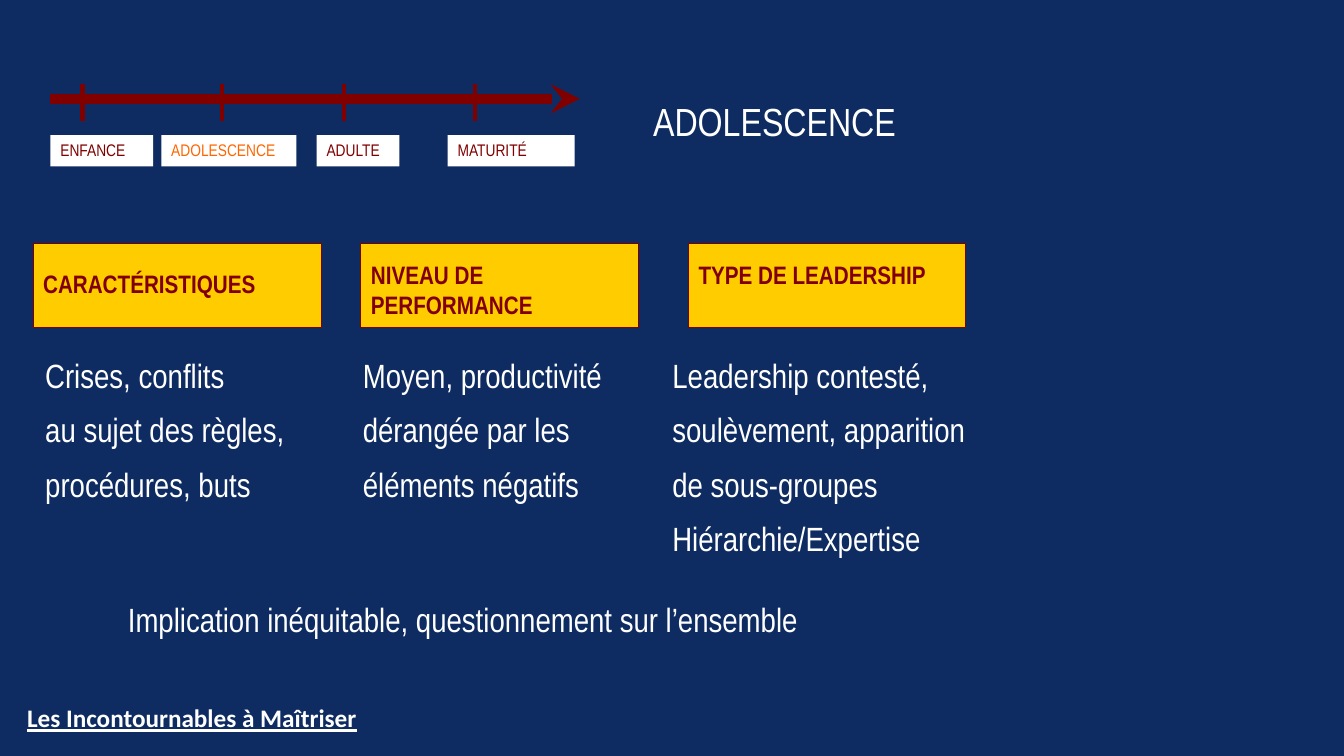
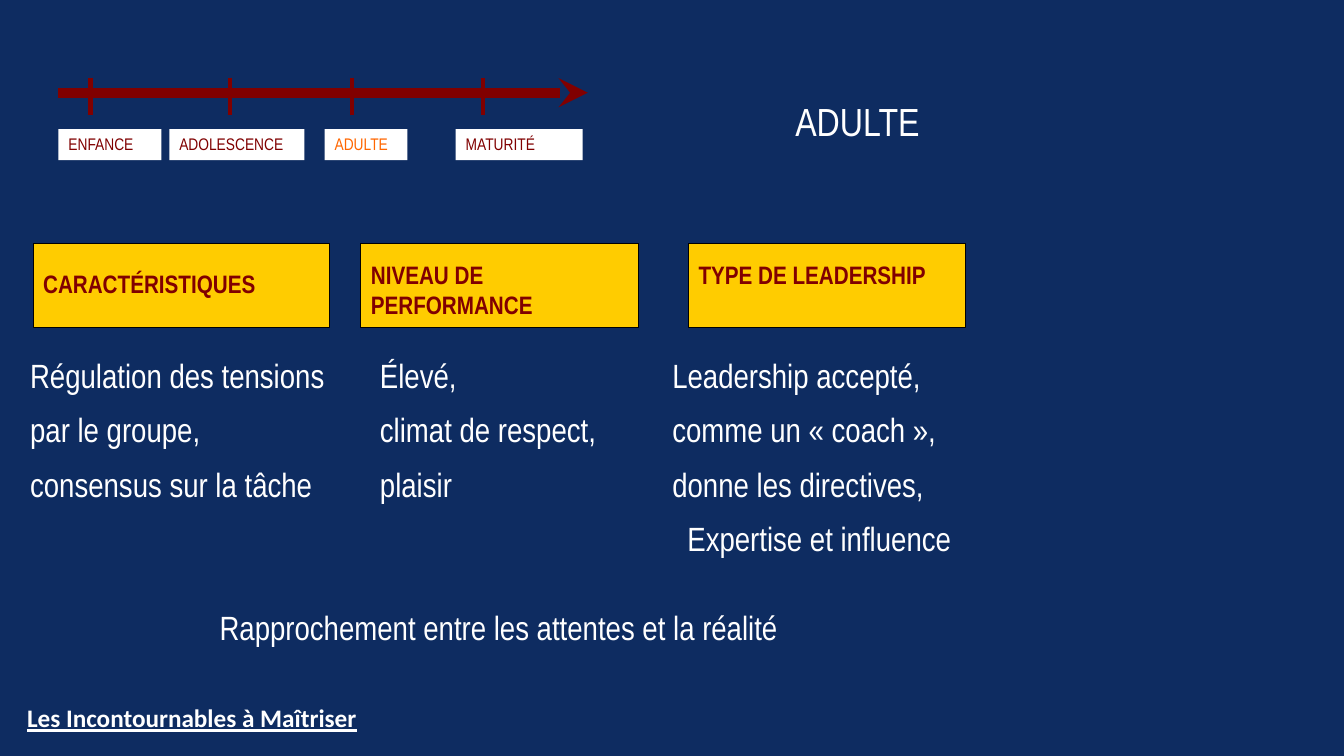
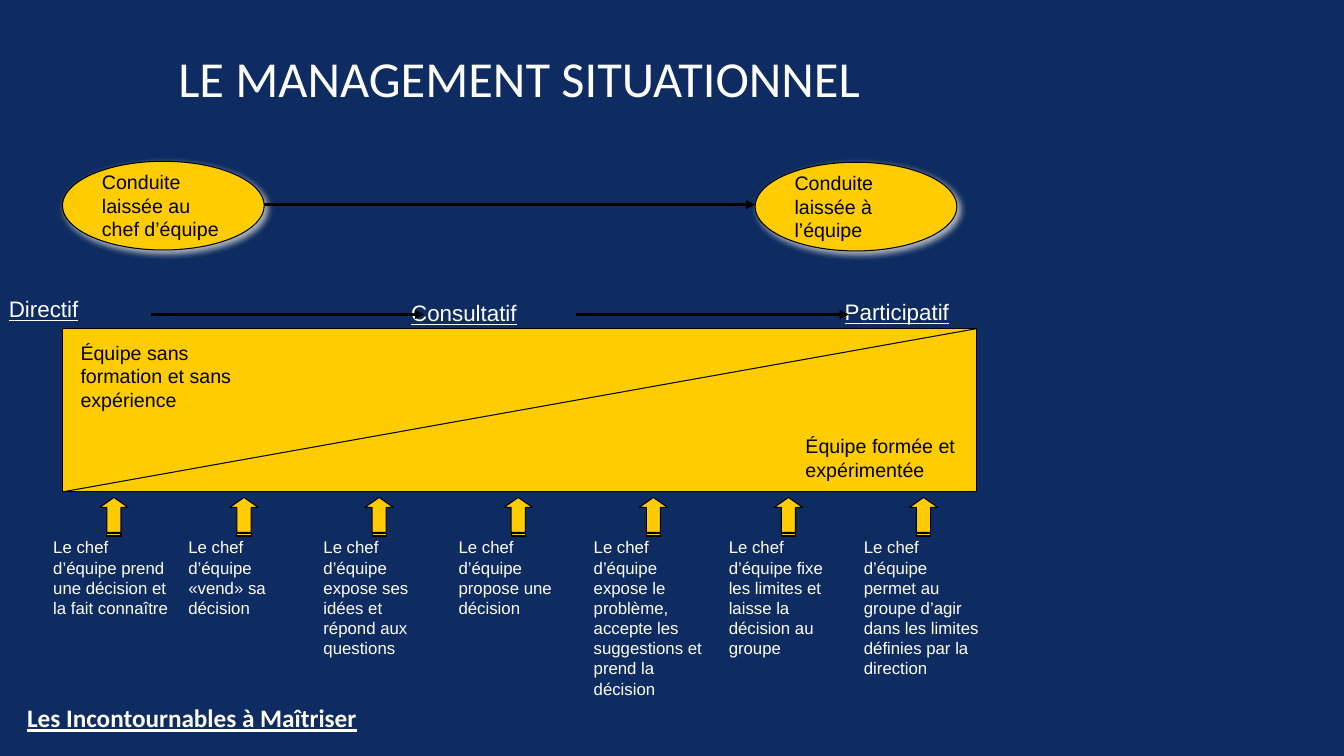
import lxml.etree
import pptx
import pptx.dml.color
import pptx.enum.dml
import pptx.enum.shapes
import pptx.enum.text
import pptx.oxml.ns
import pptx.util

SHAPE = pptx.enum.shapes.MSO_SHAPE
ANCHOR = pptx.enum.text.MSO_ANCHOR
inch = pptx.util.Inches
qn = pptx.oxml.ns.qn

WIDE, HIGH = 13.33, 7.5
HUE = {"navy": "0E2C61", "gold": "FFCC00", "wine": "800000", "fire": "FF6600",
       "white": "FFFFFF", "black": "000000", "glow": "EEECE1"}
NARROW, SANS, HEAD = "Arial Narrow", "Arial", "Calibri"
FOOTER = "Les Incontournables à Maîtriser"

# Timeline: name, label offset, label width, tick offset
AGES = [("ENFANCE", 0, 1.02, 0.32), ("ADOLESCENCE", 1.1, 1.34, 1.7),
        ("ADULTE", 2.64, 0.82, 2.91), ("MATURITÉ", 3.94, 1.26, 4.21)]

# Column heads: text, left, top inset
HEADS = [("CARACTÉRISTIQUES", 0.33, 0.24), ("NIVEAU DE PERFORMANCE", 3.58, 0.15),
         ("TYPE DE LEADERSHIP", 6.83, 0.15)]

# Columns: left, width, paragraphs; a paragraph is (text, indent)
STAGES = [
    {"age": "ADOLESCENCE", "title": 6.38, "axis": (0.5, 0.98),
     "edge": "wine", "first": 2.86,
     "cols": [
         (0.35, 3.01, [("Crises, conflits\nau sujet des règles, procédures, buts", 0)]),
         (3.5, 2.91, [("Moyen, productivité dérangée par les éléments négatifs", 0)]),
         (6.57, 3.35, [("Leadership contesté, soulèvement, apparition de sous-groupes", 0),
                       ("Hiérarchie/Expertise", 0)])],
     "sum": (1.17, 5.75, "Implication inéquitable, questionnement sur l’ensemble")},
    {"age": "ADULTE", "title": 7.79, "axis": (0.58, 0.92),
     "edge": "black", "first": 2.94,
     "cols": [
         (0.2, 3.15, [("Régulation des tensions par le groupe, consensus sur la tâche", 0)]),
         (3.67, 2.58, [("Élevé,\nclimat de respect, plaisir", 0)]),
         (6.57, 3.43, [("Leadership accepté,\ncomme un « coach », donne les directives,", 0),
                       ("Expertise et influence", 0.15)])],
     "sum": (2.08, 5.83, "Rapprochement entre les attentes et la réalité")},
]

POLES = [("Conduite laissée au chef d’équipe", 0.62, 1.6),
         ("Conduite laissée à l’équipe", 7.49, 1.61)]
STYLES = [("Directif", -0.01, 2.88, 2), ("Consultatif", 3.98, 2.92, 2),
          ("Participatif", 8.28, 2.91, 1.6)]
TEAMS = [("Équipe sans formation et sans expérience", 0.7, 3.33, 0.8),
         ("Équipe formée et expérimentée", 7.89, 4.26, 0.57)]
# Steps: text, centre of the arrow above it
STEPS = [("Le chef d’équipe prend une décision et la fait connaître", 1.13),
         ("Le chef d’équipe «vend» sa décision", 2.42),
         ("Le chef d’équipe expose ses idées et répond aux questions", 3.76),
         ("Le chef d’équipe propose une décision", 5.14),
         ("Le chef d’équipe expose le problème, accepte les suggestions et prend la décision", 6.48),
         ("Le chef d’équipe fixe les limites et laisse la décision au groupe", 7.82),
         ("Le chef d’équipe permet au groupe d’agir dans les limites définies par la direction", 9.16)]


def tint(name):
    return pptx.dml.color.RGBColor.from_string(HUE[name])


def write(shape, paras, size, face, hue="white", bold=False, under=False,
          space=None, anchor=ANCHOR.TOP, top=0.05):
    """Fill a shape with (text, indent) paragraphs; a newline breaks the line."""
    frame = shape.text_frame
    frame.word_wrap = True
    frame.vertical_anchor = anchor
    frame.margin_top = inch(top)
    for i, (text, indent) in enumerate(paras):
        para = frame.add_paragraph() if i else frame.paragraphs[0]
        para.alignment = pptx.enum.text.PP_ALIGN.LEFT
        if space:
            para.line_spacing = space
        if indent:
            para._p.get_or_add_pPr().set("marL", str(inch(indent)))
        for j, part in enumerate(text.split("\n")):
            if j:
                para.add_line_break()
            run = para.add_run()
            run.text = part
            font = run.font
            font.size, font.name = pptx.util.Pt(size), face
            font.bold, font.underline = bold, under
            font.color.rgb = tint(hue)


def note(slide, box, text, size, face, **style):
    """Add a text box; text is a string or a list of paragraphs."""
    paras = [(text, 0)] if isinstance(text, str) else text
    write(slide.shapes.add_textbox(*map(inch, box)), paras, size, face, **style)


def block(slide, kind, box, fill, edge=None):
    shape = slide.shapes.add_shape(kind, *map(inch, box))
    shape.shadow.inherit = False
    shape.fill.solid()
    shape.fill.fore_color.rgb = tint(fill)
    if edge:
        shape.line.color.rgb = tint(edge)
        shape.line.width = pptx.util.Pt(0.75)
    else:
        shape.line.fill.background()
    return shape


def rule(slide, ends, hue, width, tip=None):
    line = slide.shapes.add_connector(
        pptx.enum.shapes.MSO_CONNECTOR.STRAIGHT, *map(inch, ends))
    line.line.color.rgb = tint(hue)
    line.line.width = pptx.util.Pt(width)
    props = line._element.spPr
    if tip:
        lxml.etree.SubElement(props.find(qn("a:ln")), qn("a:tailEnd"), type=tip)
    lxml.etree.SubElement(props, qn("a:effectLst"))


def glow(shape):
    """Add a soft pale shadow falling to the lower right."""
    effects = shape._element.spPr.find(qn("a:effectLst"))
    outer = lxml.etree.SubElement(
        effects, qn("a:outerShdw"), blurRad=str(pptx.util.Pt(5)),
        dist=str(pptx.util.Pt(3)), dir=str(45 * 60000), algn="tl", rotWithShape="0")
    color = lxml.etree.SubElement(outer, qn("a:srgbClr"), val=HUE["glow"])
    lxml.etree.SubElement(color, qn("a:alpha"), val="75000")


def new(deck):
    slide = deck.slides.add_slide(deck.slide_layouts[6])
    note(slide, (0.17, 6.92, 3.51, 0.4), FOOTER, 18, HEAD, bold=True, under=True)
    return slide


def axis(slide, left, mid, now):
    """Draw the timeline of ages with the current one highlighted."""
    rule(slide, (left, mid, left + 5.25, mid), "wine", 7, "stealth")
    for name, shift, width, tick in AGES:
        tag = block(slide, SHAPE.RECTANGLE, (left + shift, mid + 0.36, width, 0.31), "white")
        write(tag, [(name, 0)], 12, NARROW, "fire" if name == now else "wine")
        x = left + tick
        rule(slide, (x, mid - 0.15, x, mid + 0.22), "wine", 3.25)


def stage(deck, data):
    slide = new(deck)
    note(slide, (data["title"], 0.75, 3.07, 0.73), data["age"], 28, NARROW, space=1.35)
    axis(slide, *data["axis"], data["age"])
    for i, (text, left, top) in enumerate(HEADS):
        width = 2.75 if i else data["first"]
        head = block(slide, SHAPE.RECTANGLE, (left, 2.42, width, 0.83), "gold", data["edge"])
        write(head, [(text, 0)], 18, NARROW, "wine", bold=True, top=top)
    for left, width, paras in data["cols"]:
        note(slide, (left, 3.33, width, 2.26), paras, 24, NARROW, space=1.35)
    left, top, text = data["sum"]
    note(slide, (left, top, 8.3, 0.62), text, 24, NARROW, space=1.35)


def model(deck):
    slide = new(deck)
    note(slide, (1.67, 0.42, 8.74, 0.69), "LE MANAGEMENT SITUATIONNEL", 36, HEAD,
         anchor=ANCHOR.MIDDLE)
    for text, left, top in POLES:
        pole = block(slide, SHAPE.OVAL, (left, top, 2, 0.88), "gold", "black")
        glow(pole)
        write(pole, [(text, 0)], 14, SANS, "black", anchor=ANCHOR.MIDDLE)
    rule(slide, (2.62, 2.03, 7.49, 2.03), "black", 2.25, "triangle")

    block(slide, SHAPE.RECTANGLE, (0.62, 3.26, 9.07, 1.62), "gold", "black")
    rule(slide, (0.62, 4.88, 9.69, 3.26), "black", 0.75)
    for text, left, top, high in TEAMS:
        note(slide, (left, top, 1.75, high), text, 14, SANS, hue="black")
    for text, left, top, width in STYLES:
        note(slide, (left, top, width, 0.37), text, 16, SANS, under=True)
    for left in (1.5, 5.71):
        rule(slide, (left, 3.12, left + 2.71, 3.12), "black", 2.25, "triangle")

    long, thick, step = 0.39, 0.28, 1.34
    for i, (text, mid) in enumerate(STEPS):
        arrow = block(slide, SHAPE.STRIPED_RIGHT_ARROW,
                      (mid - long / 2, 4.99, long, thick), "gold", "black")
        arrow.rotation = 270
        arrow.adjustments[0], arrow.adjustments[1] = 0.5, 0.35
        note(slide, (0.43 + i * step, 5.28, step, 1.72), text, 12, SANS)


def main():
    deck = pptx.Presentation()
    deck.slide_width, deck.slide_height = inch(WIDE), inch(HIGH)
    back = deck.slide_master.background.fill
    back.solid()
    back.fore_color.rgb = tint("navy")
    for data in STAGES:
        stage(deck, data)
    model(deck)
    deck.save("out.pptx")


if __name__ == "__main__":
    main()
